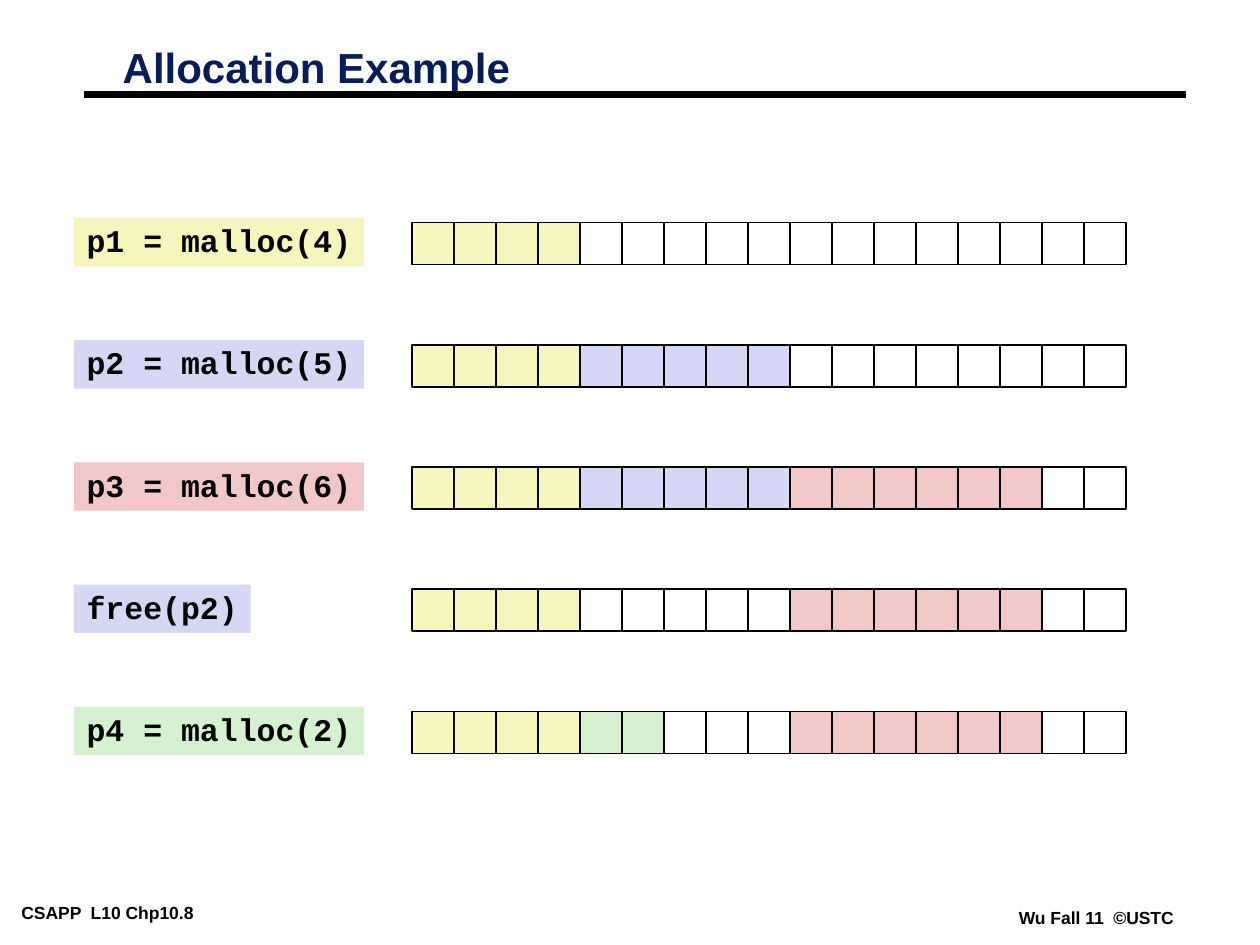
from dataclasses import dataclass

from lxml import etree
from pptx import Presentation
from pptx.dml.color import RGBColor
from pptx.enum import shapes, text
from pptx.oxml import ns
from pptx.util import Pt


@dataclass(frozen=True)
class Theme:
    ink: str = "000000"
    navy: str = "081D58"
    free: str = "FFFFFF"
    p1: str = "F6F5BD"
    p2: str = "D6D6F5"
    p3: str = "F1C7C7"
    p4: str = "D5F1CF"
    body_font: str = "Arial"
    code_font: str = "Courier New"
    title_size: float = 24
    code_size: float = 18
    footer_size: float = 10
    rule_width: float = 4.5
    cell_line: float = 1


THEME = Theme()
CELL = 24
HEAP_CELLS = 17
ROW_PITCH = 69.85
STEPS = [
    ("p1 = malloc(4)", "p1", [("p1", 4)]),
    ("p2 = malloc(5)", "p2", [("p1", 4), ("p2", 5)]),
    ("p3 = malloc(6)", "p3", [("p1", 4), ("p2", 5), ("p3", 6)]),
    ("free(p2)", "p2", [("p1", 4), ("free", 5), ("p3", 6)]),
    ("p4 = malloc(2)", "p4", [("p1", 4), ("p4", 2), ("free", 3), ("p3", 6)]),
]


def color(name):
    return RGBColor.from_string(getattr(THEME, name))


def fill_shape(shape, fill):
    shape.shadow.inherit = False
    shape.fill.solid()
    shape.fill.fore_color.rgb = color(fill)


def write(shape, words, size, font="body_font", ink="ink", margins=(7.2, 3.6),
          wrap=False, spacing=1.0, anchor=text.MSO_ANCHOR.TOP):
    frame = shape.text_frame
    frame.text = words
    frame.word_wrap = wrap
    frame.vertical_anchor = anchor
    frame.margin_left = frame.margin_right = Pt(margins[0])
    frame.margin_top = frame.margin_bottom = Pt(margins[1])
    paragraph = frame.paragraphs[0]
    paragraph.alignment = text.PP_ALIGN.LEFT
    paragraph.line_spacing = spacing
    run_font = paragraph.runs[0].font
    run_font.name = getattr(THEME, font)
    run_font.size = Pt(size)
    run_font.bold = True
    run_font.color.rgb = color(ink)


def add_heading(slide, left, top, width, height):
    title = slide.shapes.add_textbox(Pt(left + 15), Pt(top), Pt(438.5), Pt(height))
    write(title, "Allocation Example", THEME.title_size, ink="navy", wrap=True,
          spacing=0.87, anchor=text.MSO_ANCHOR.MIDDLE)
    rule_y = Pt(top + 30.2)
    rule = slide.shapes.add_connector(
        shapes.MSO_CONNECTOR.STRAIGHT, Pt(left), rule_y, Pt(left + width), rule_y)
    rule.line.color.rgb = color("ink")
    rule.line.width = Pt(THEME.rule_width)
    etree.SubElement(rule._element.spPr, ns.qn("a:effectLst"))


def add_call(slide, left, top, height, call, fill):
    width = len(call) * THEME.code_size * 0.6 + 14.4
    label = slide.shapes.add_shape(
        shapes.MSO_SHAPE.RECTANGLE, Pt(left), Pt(top), Pt(width), Pt(height))
    fill_shape(label, fill)
    label.line.fill.background()
    write(label, call, THEME.code_size, font="code_font", spacing=0.94)


def add_heap(slide, left, top, blocks):
    owners = [owner for owner, count in blocks for _ in range(count)]
    owners += ["free"] * (HEAP_CELLS - len(owners))
    heap = slide.shapes.add_group_shape()
    for index, owner in enumerate(owners):
        word = heap.shapes.add_shape(
            shapes.MSO_SHAPE.RECTANGLE,
            Pt(left + index * CELL), Pt(top), Pt(CELL), Pt(CELL))
        fill_shape(word, owner)
        word.line.color.rgb = color("ink")
        word.line.width = Pt(THEME.cell_line)


def add_steps(slide, left, top):
    for row, (call, fill, blocks) in enumerate(STEPS):
        row_top = top + row * ROW_PITCH
        add_heap(slide, left + 193.1, row_top + 2.6, blocks)
        add_call(slide, left, row_top, 27.6, call, fill)


def add_footer(slide, left, top):
    course = slide.shapes.add_textbox(Pt(left), Pt(top), Pt(151), Pt(16))
    write(course, "CSAPP  L10 Chp10.8", THEME.footer_size, margins=(5, 2), wrap=True)
    term = slide.shapes.add_textbox(Pt(left + 570), Pt(top + 3), Pt(99), Pt(16))
    write(term, "Wu Fall 11  ©USTC", THEME.footer_size, margins=(5, 2))


def main():
    deck = Presentation()
    deck.slide_width, deck.slide_height = Pt(720), Pt(540)
    slide = deck.slides.add_slide(deck.slide_layouts[6])
    add_footer(slide, 7.2, 513.2)
    add_heading(slide, 48, 23.8, 630, 32.4)
    add_steps(slide, 42.4, 124.6)
    deck.save("out.pptx")


if __name__ == "__main__":
    main()
